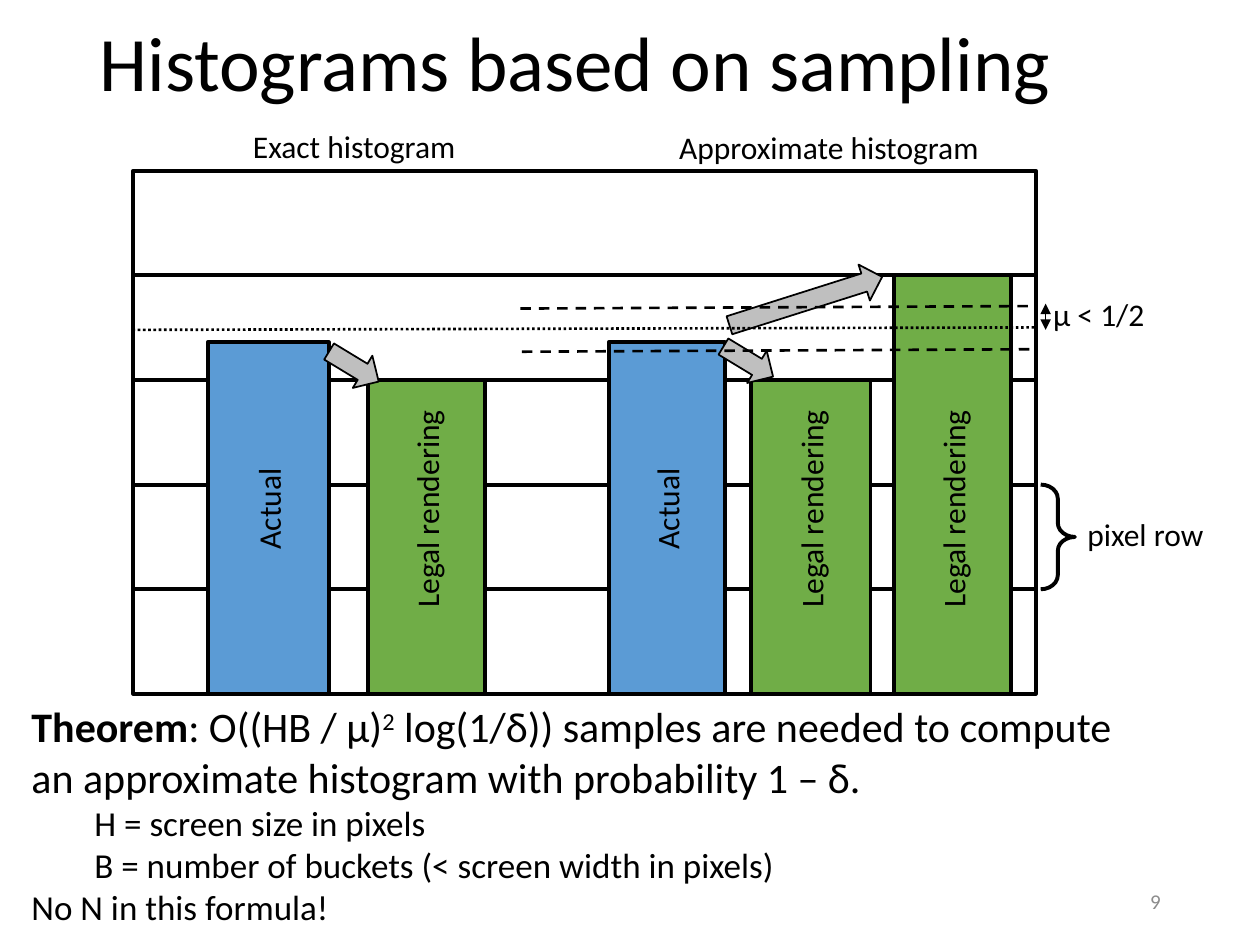
from dataclasses import dataclass

from lxml.etree import SubElement
from pptx import Presentation
from pptx.dml.color import RGBColor
from pptx.enum.dml import MSO_LINE
from pptx.enum.shapes import MSO_CONNECTOR, MSO_SHAPE
from pptx.enum.text import MSO_ANCHOR, MSO_AUTO_SIZE, PP_ALIGN
from pptx.oxml.ns import qn
from pptx.util import Cm, Pt

FONT, BLACK, BLUE, GREEN, GREY = "Calibri", "000000", "5B9BD5", "70AD47", "BFBFBF"

# Chart frame and pixel rows, in cm
LEFT, TOP, WIDTH, ROW_H, ROWS = 2.69, 3.44, 18.19, 2.11, 5
BOTTOM = TOP + ROWS * ROW_H
LABEL_H = 1.02


@dataclass
class Bar:
    left: float
    width: float
    rows: float
    label: str
    label_w: float
    color: str


@dataclass
class Arrow:
    left: float
    top: float
    width: float
    angle: float


@dataclass
class Guide:
    x1: float
    y1: float
    x2: float
    y2: float
    width: float
    dash: MSO_LINE


@dataclass
class Label:
    text: str
    left: float
    top: float
    width: float
    align: PP_ALIGN = PP_ALIGN.LEFT
    size: float = 18
    color: str = BLACK
    angle: float = 0


BARS = [
    Bar(4.19, 2.44, 3.36, "Actual", 2.16, BLUE),
    Bar(7.42, 2.36, 3, "Legal rendering", 4.55, GREEN),
    Bar(12.27, 2.34, 3.36, "Actual", 2.16, BLUE),
    Bar(15.14, 2.41, 3, "Legal rendering", 4.55, GREEN),
    Bar(18.03, 2.36, 4, "Legal rendering", 4.55, GREEN),
]
ARROWS = [
    Arrow(6.55, 7.01, 1.17, 31.2),
    Arrow(14.5, 6.91, 1.17, 31.2),
    Arrow(14.63, 5.69, 3.23, 342.4),
]
GUIDES = [
    Guide(10.49, 6.22, 20.78, 6.17, 1.5, MSO_LINE.DASH),
    Guide(10.52, 7.09, 20.83, 7.04, 1.5, MSO_LINE.DASH),
    Guide(2.67, 6.65, 20.88, 6.6, 1.5, MSO_LINE.ROUND_DOT),
]
LABELS = [
    Label("Exact histogram", 4.83, 2.44, 4.62, PP_ALIGN.CENTER),
    Label("Approximate histogram", 13.41, 2.46, 6.6, PP_ALIGN.CENTER),
    Label("μ < 1/2", 20.98, 5.82, 2.39),
    Label("pixel row", 21.67, 10.26, 2.87),
    Label("9", 17.93, 17.65, 5.72, PP_ALIGN.RIGHT, 12, "8C8C8C"),
]


def rgb(value: str) -> RGBColor:
    return RGBColor.from_string(value)


def apply(obj, values: dict) -> None:
    for name, value in values.items():
        setattr(obj, name, value)


def place(sp, left: float, top: float, width: float, height: float) -> None:
    apply(sp, {"left": Cm(left), "top": Cm(top), "width": Cm(width), "height": Cm(height)})


def add_run(p, text: str, size: float, color: str = BLACK, bold: bool = False):
    r = p.add_run()
    r.text = text
    apply(r.font, {"name": FONT, "size": Pt(size), "bold": bold})
    r.font.color.rgb = rgb(color)
    return r


def add_shape(s, kind, left, top, width, height, fill: str = "", line: float = 2.25):
    sp = s.shapes.add_shape(kind, Cm(left), Cm(top), Cm(width), Cm(height))
    sp.shadow.inherit = False
    if fill:
        sp.fill.solid()
        sp.fill.fore_color.rgb = rgb(fill)
    else:
        sp.fill.background()
    sp.line.color.rgb = rgb(BLACK)
    sp.line.width = Pt(line)
    return sp


def add_label(s, label: Label) -> None:
    sp = s.shapes.add_textbox(Cm(label.left), Cm(label.top), Cm(label.width), Cm(LABEL_H))
    sp.rotation = label.angle
    apply(sp.text_frame, {"word_wrap": False, "vertical_anchor": MSO_ANCHOR.MIDDLE})
    p = sp.text_frame.paragraphs[0]
    p.alignment = label.align
    add_run(p, label.text, label.size, label.color)


def add_bar(s, bar: Bar) -> None:
    height = bar.rows * ROW_H
    add_shape(s, MSO_SHAPE.RECTANGLE, bar.left, BOTTOM - height, bar.width, height, bar.color)
    add_label(s, Label(bar.label, bar.left + (bar.width - bar.label_w) / 2, 9.75,
                       bar.label_w, PP_ALIGN.CENTER, angle=270))


def add_line(s, guide: Guide):
    c = s.shapes.add_connector(MSO_CONNECTOR.STRAIGHT, Cm(guide.x1), Cm(guide.y1),
                               Cm(guide.x2), Cm(guide.y2))
    apply(c.line, {"width": Pt(guide.width), "dash_style": guide.dash})
    c.line.color.rgb = rgb(BLACK)
    SubElement(c._element.spPr, qn("a:effectLst"))
    return c


def add_theorem(body) -> None:
    place(body, 0.38, 14, 22.53, 4.88)
    tf = body.text_frame
    apply(tf, {"word_wrap": True, "auto_size": MSO_AUTO_SIZE.NONE})
    paragraphs = [tf.paragraphs[0]] + [tf.add_paragraph() for _ in range(3)]
    for p, indent in zip(paragraphs, (0, 1.27, 1.27, 0)):
        pPr = p._p.get_or_add_pPr()
        pPr.set("marL", str(Cm(indent)))
        pPr.set("indent", "0")
        SubElement(pPr, qn("a:buNone"))
        apply(p, {"space_before": Pt(0), "line_spacing": 1.0})
    theorem, *notes = paragraphs
    add_run(theorem, "Theorem", 24, bold=True)
    add_run(theorem, ": O((HB / μ)", 24)
    add_run(theorem, "2", 24).font._element.set("baseline", "30000")
    add_run(theorem, " log(1/δ)) samples are needed to compute", 24)
    theorem.add_line_break()
    add_run(theorem, "an approximate histogram with probability 1 – δ.", 24)
    texts = ("H = screen size in pixels",
             "B = number of buckets (< screen width in pixels)",
             "No N in this formula!")
    for p, text in zip(notes, texts):
        add_run(p, text, 20)


def main() -> None:
    prs = Presentation()
    apply(prs, {"slide_width": Cm(25.4), "slide_height": Cm(19.05)})
    s = prs.slides.add_slide(prs.slide_layouts[1])

    # Title and theorem
    title = s.shapes.title
    place(title, 1.75, 0.3, 21.89, 2.08)
    apply(title.text_frame, {"vertical_anchor": MSO_ANCHOR.MIDDLE,
                             "auto_size": MSO_AUTO_SIZE.NONE})
    p = title.text_frame.paragraphs[0]
    apply(p, {"alignment": PP_ALIGN.LEFT, "line_spacing": 0.9})
    add_run(p, "Histograms based on sampling", 44)
    add_theorem(s.placeholders[1])

    # Pixel rows and bars
    for i in range(ROWS):
        add_shape(s, MSO_SHAPE.RECTANGLE, LEFT, TOP + i * ROW_H, WIDTH, ROW_H)
    for bar in BARS:
        add_bar(s, bar)

    # Rounding arrows and error band
    for a in ARROWS:
        sp = add_shape(s, MSO_SHAPE.RIGHT_ARROW, a.left, a.top, a.width, 0.76, GREY, 1)
        sp.rotation = a.angle
    for guide in GUIDES:
        add_line(s, guide)
    error = add_line(s, Guide(21.08, 6.12, 21.08, 6.65, 0.5, MSO_LINE.SOLID))
    for end in ("a:headEnd", "a:tailEnd"):
        SubElement(error.line._get_or_add_ln(), qn(end), type="triangle")

    # Row brace and labels
    brace = add_shape(s, MSO_SHAPE.RIGHT_BRACE, 20.98, TOP + 3 * ROW_H, 0.69, ROW_H)
    brace.adjustments[0] = 0.41
    for label in LABELS:
        add_label(s, label)

    prs.save("out.pptx")


if __name__ == "__main__":
    main()
